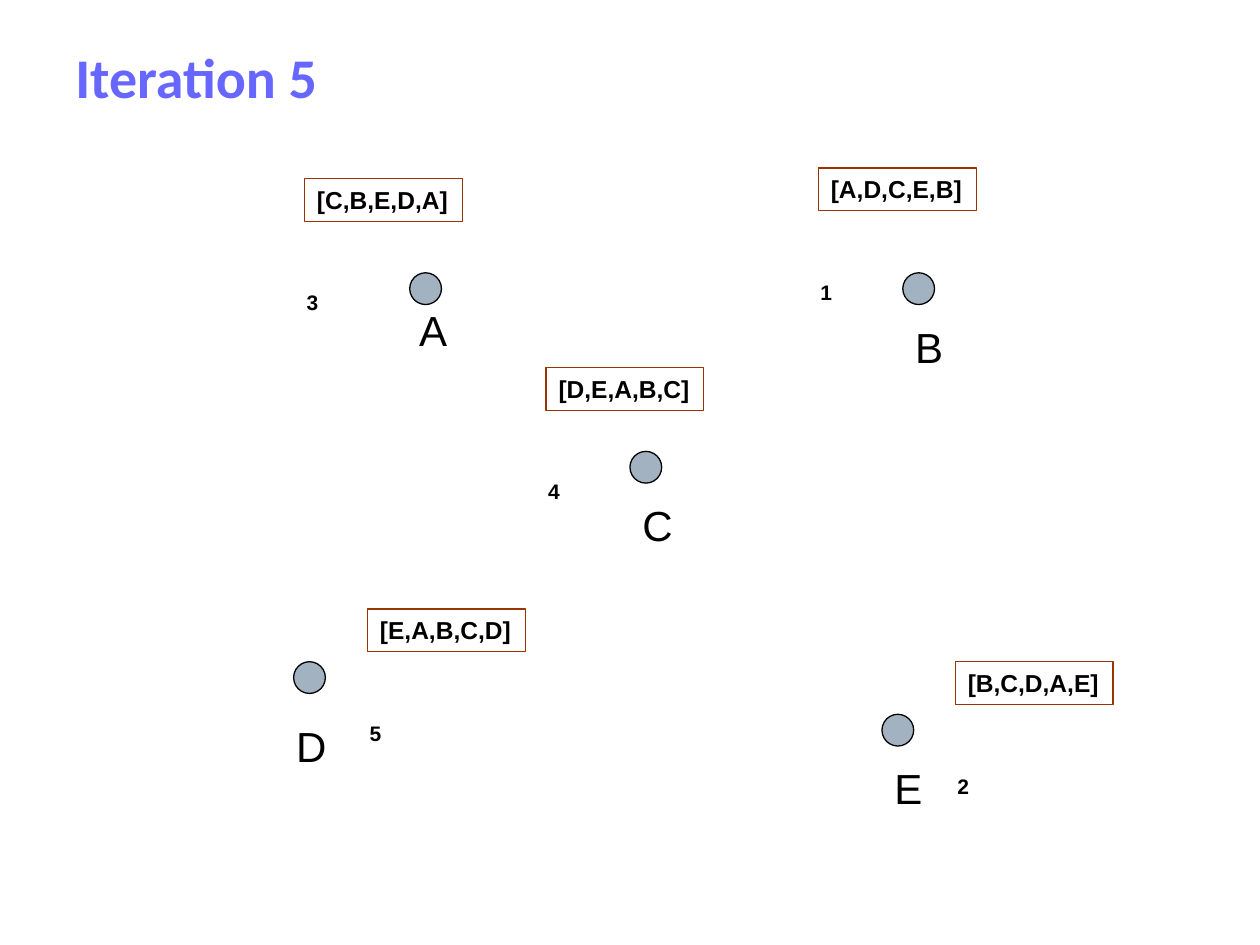
from pptx import Presentation
from pptx.dml.color import RGBColor
from pptx.enum import shapes, text
from pptx.util import Cm, Pt

TITLE = RGBColor(0x67, 0x67, 0xFF)
BLACK = RGBColor(0, 0, 0)
NODE = RGBColor(0xA3, 0xB2, 0xC1)
BORDER = RGBColor(0x99, 0x33, 0x00)


def write(shape, words, wrap=False, anchor=text.MSO_ANCHOR.TOP, **font_format):
    frame = shape.text_frame
    frame.word_wrap = wrap
    frame.auto_size = text.MSO_AUTO_SIZE.NONE if wrap else text.MSO_AUTO_SIZE.SHAPE_TO_FIT_TEXT
    frame.vertical_anchor = anchor
    paragraph = frame.paragraphs[0]
    paragraph.alignment = text.PP_ALIGN.LEFT
    run = paragraph.add_run()
    run.text = words
    color = font_format.pop("color", BLACK)
    for name, value in {"name": "Arial", **font_format}.items():
        setattr(run.font, name, value)
    run.font.color.rgb = color


def outline(shape, color):
    shape.shadow.inherit = False
    shape.line.color.rgb = color
    shape.line.width = Pt(0.75)


presentation = Presentation()
presentation.slide_width = Cm(25.4)
presentation.slide_height = Cm(19.05)
slide = presentation.slides.add_slide(presentation.slide_layouts[6])

title = slide.shapes.add_textbox(Cm(1.27), Cm(0.76), Cm(22.86), Cm(1.58))
write(title, "Iteration 5", wrap=True, anchor=text.MSO_ANCHOR.BOTTOM,
      name="Calibri", size=Pt(32), bold=True, color=TITLE)

nodes = [
    ("A", (8.26, 5.5), (8.2, 6.02), "[C,B,E,D,A]", "3", (6.14, 3.6)),
    ("B", (18.2, 5.5), (18.2, 6.35), "[A,D,C,E,B]", "1", (16.5, 3.39)),
    ("C", (12.7, 9.1), (12.7, 9.95), "[D,E,A,B,C]", "4", (11.01, 7.41)),
    ("D", (5.92, 13.34), (5.72, 14.4), "[E,A,B,C,D]", "5", (7.41, 12.28)),
    ("E", (17.78, 14.4), (17.78, 15.24), "[B,C,D,A,E]", "2", (19.26, 13.34)),
]
for letter, (node_x, node_y), (letter_x, letter_y), order, rank, (order_x, order_y) in nodes:
    node = slide.shapes.add_shape(shapes.MSO_SHAPE.OVAL, Cm(node_x), Cm(node_y), Cm(0.64), Cm(0.64))
    node.fill.solid()
    node.fill.fore_color.rgb = NODE
    outline(node, BLACK)

    letter_box = slide.shapes.add_textbox(Cm(letter_x), Cm(letter_y), Cm(0.95), Cm(1.02))
    write(letter_box, letter, size=Pt(24))

    group = slide.shapes.add_group_shape()
    rank_box = group.shapes.add_textbox(Cm(order_x - 0.21), Cm(order_y + 2.12), Cm(0.74), Cm(0.76))
    write(rank_box, rank, size=Pt(12), bold=True)

    order_box = group.shapes.add_shape(
        shapes.MSO_SHAPE.RECTANGLE, Cm(order_x), Cm(order_y), Cm(3.18), Cm(0.86))
    order_box.fill.background()
    outline(order_box, BORDER)
    write(order_box, order, size=Pt(14), bold=True)

presentation.save("out.pptx")
